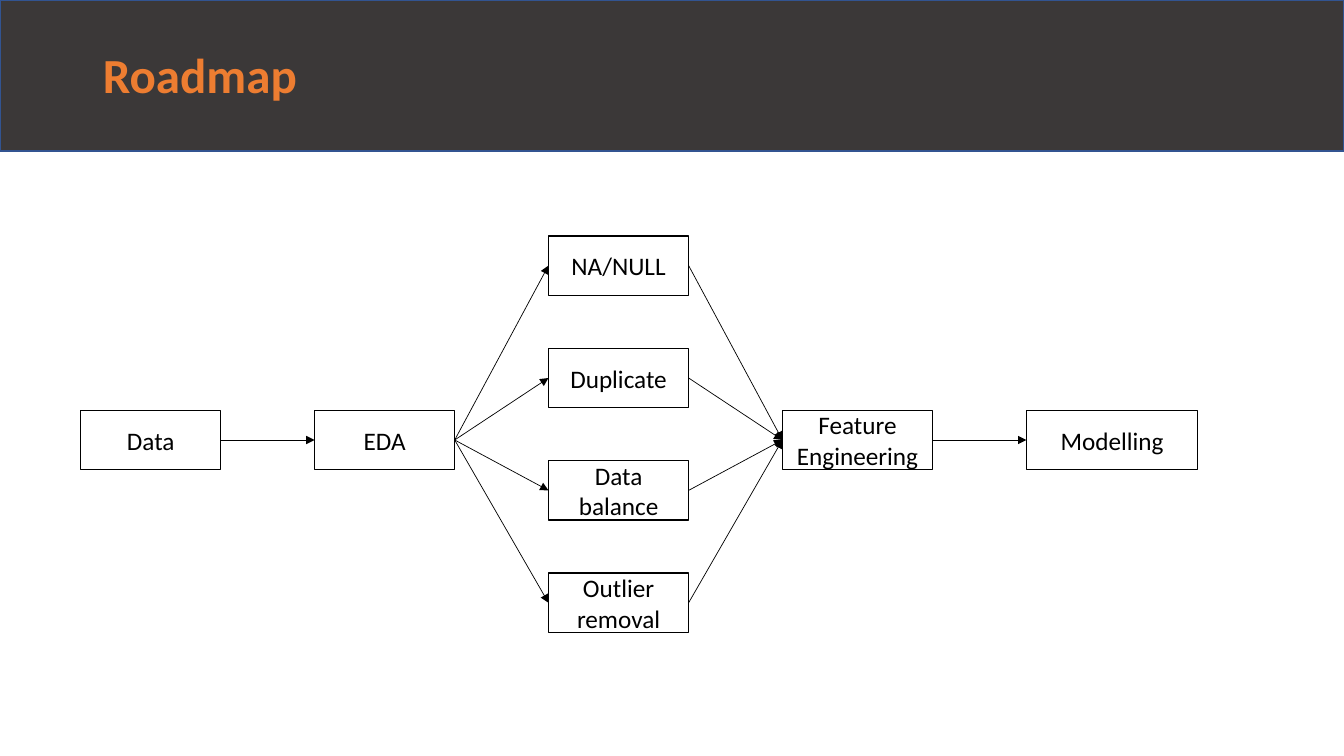
from lxml.etree import SubElement
from pptx import Presentation
from pptx.dml.color import RGBColor
from pptx.enum.shapes import MSO_CONNECTOR as Connector, MSO_SHAPE as Shape
from pptx.enum.text import MSO_ANCHOR as Anchor, MSO_AUTO_SIZE as AutoSize, PP_ALIGN as Align
from pptx.oxml.ns import qn
from pptx.util import Inches, Pt

TITLE = "Roadmap"
STAGES = [
    (1.39, ["Data"]),
    (1.39, ["EDA"]),
    (1.39, ["NA/NULL", "Duplicate", "Data balance", "Outlier removal"]),
    (1.49, ["Feature Engineering"]),
    (1.7, ["Modelling"]),
]
COLORS = {"band": "3B3838", "band_line": "325491", "title": "ED7D31",
          "box": "FFFFFF", "ink": "000000"}
TITLE_FONT = {"name": "Calibri", "size": Pt(35), "bold": True}
BOX_FONT = {"name": "Calibri", "size": Pt(18), "bold": False}

SLIDE_WIDTH, SLIDE_HEIGHT = 13.33, 7.5
BAND_HEIGHT = 1.5
FIRST_LEFT, COLUMN_GAP = 0.8, 0.93
SINGLE_TOP, STACK_TOP = 4.07, 2.34
BOX_HEIGHT, ROW_STEP = 0.59, 1.115
LEFT_SITE, RIGHT_SITE = 1, 3


def color(name):
    return RGBColor.from_string(COLORS[name])


def format_font(font, values, color_name):
    for name, value in values.items():
        setattr(font, name, value)
    font.color.rgb = color(color_name)


def add_rectangle(slide, left, top, width, height, fill, line):
    shape = slide.shapes.add_shape(
        Shape.RECTANGLE, Inches(left), Inches(top), Inches(width), Inches(height))
    shape.shadow.inherit = False
    shape.fill.solid()
    shape.fill.fore_color.rgb = color(fill)
    shape.line.color.rgb = color(line)
    shape.line.width = Pt(1)
    return shape


def add_box(slide, text, left, top, width):
    box = add_rectangle(slide, left, top, width, BOX_HEIGHT, "box", "ink")
    frame = box.text_frame
    frame.word_wrap = True
    frame.vertical_anchor = Anchor.MIDDLE
    paragraph = frame.paragraphs[0]
    paragraph.alignment = Align.CENTER
    run = paragraph.add_run()
    run.text = text
    format_font(run.font, BOX_FONT, "ink")
    return box


def add_arrow(slide, source, target):
    arrow = slide.shapes.add_connector(Connector.STRAIGHT, 0, 0, 0, 0)
    arrow.begin_connect(source, RIGHT_SITE)
    arrow.end_connect(target, LEFT_SITE)
    arrow.line.color.rgb = color("ink")
    arrow.line.width = Pt(0.5)
    SubElement(arrow.line._get_or_add_ln(), qn("a:tailEnd"), type="triangle")
    SubElement(arrow.element.spPr, qn("a:effectLst"))


def add_header(slide):
    band = add_rectangle(slide, 0, 0, SLIDE_WIDTH, BAND_HEIGHT, "band", "band_line")
    title = slide.shapes.title
    band.element.addnext(title.element)
    title.left, title.top = Inches(0.92), Inches(0.05)
    title.width, title.height = Inches(11.5), Inches(1.45)
    frame = title.text_frame
    frame.text = TITLE
    frame.word_wrap = True
    frame.auto_size = AutoSize.NONE
    frame.vertical_anchor = Anchor.MIDDLE
    paragraph = frame.paragraphs[0]
    paragraph.alignment = Align.LEFT
    paragraph.line_spacing = 0.9
    format_font(paragraph.runs[0].font, TITLE_FONT, "title")


def add_flow(slide):
    left, previous = FIRST_LEFT, []
    for width, labels in STAGES:
        top = SINGLE_TOP if len(labels) == 1 else STACK_TOP
        boxes = [add_box(slide, label, left, top + row * ROW_STEP, width)
                 for row, label in enumerate(labels)]
        for source in previous:
            for target in boxes:
                add_arrow(slide, source, target)
        left += width + COLUMN_GAP
        previous = boxes


def main():
    presentation = Presentation()
    presentation.slide_width = Inches(SLIDE_WIDTH)
    presentation.slide_height = Inches(SLIDE_HEIGHT)
    slide = presentation.slides.add_slide(
        presentation.slide_layouts.get_by_name("Title Only"))
    add_header(slide)
    add_flow(slide)
    presentation.save("out.pptx")


if __name__ == "__main__":
    main()
